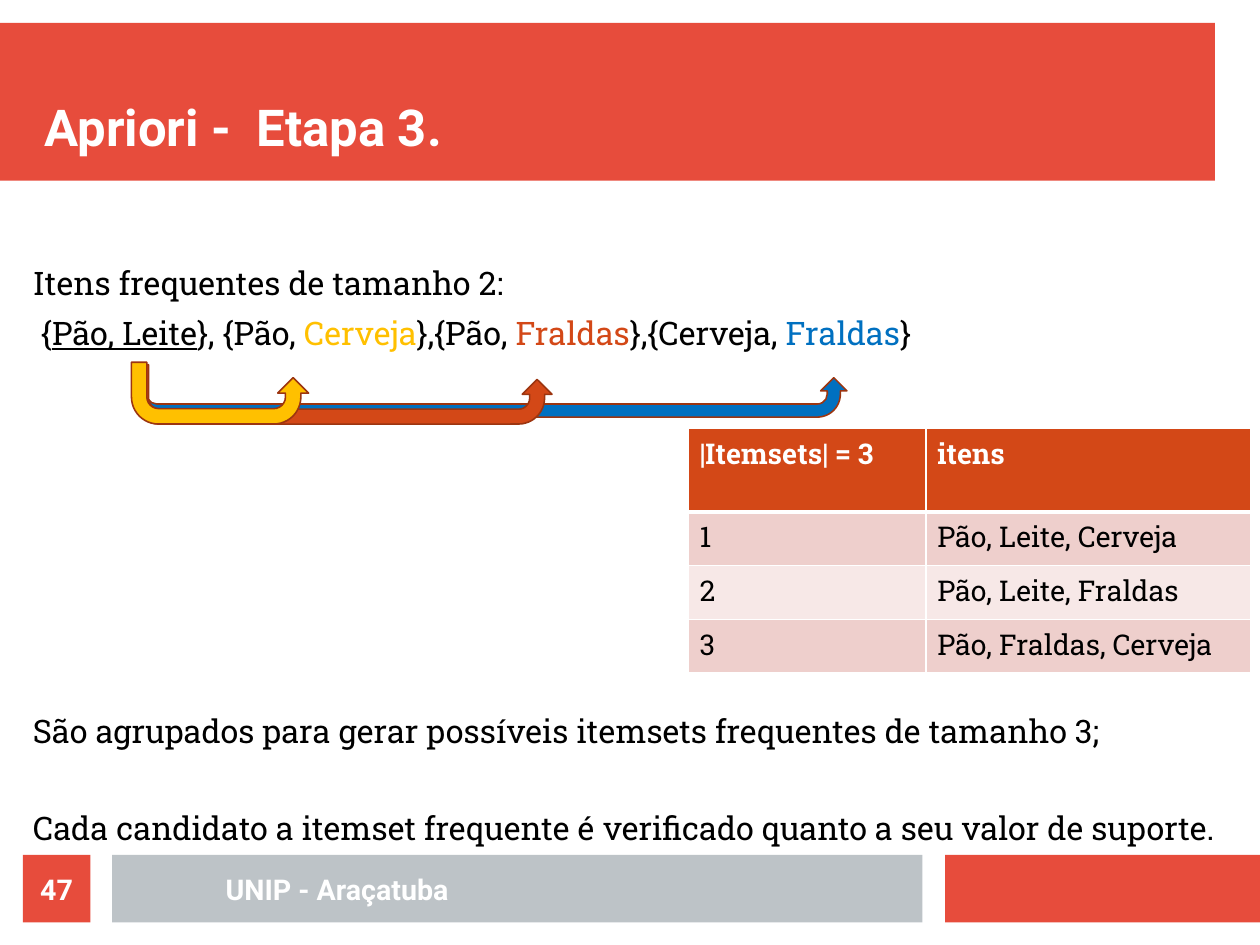
from dataclasses import dataclass

from lxml import etree
from pptx import Presentation
from pptx.dml.color import RGBColor
from pptx.enum.shapes import MSO_SHAPE
from pptx.enum.text import MSO_ANCHOR, PP_ALIGN
from pptx.oxml.ns import qn
from pptx.util import Inches, Pt

RECT, UTURN = MSO_SHAPE.RECTANGLE, MSO_SHAPE.U_TURN_ARROW
TOP, MIDDLE, BOTTOM = MSO_ANCHOR.TOP, MSO_ANCHOR.MIDDLE, MSO_ANCHOR.BOTTOM
LEFT, CENTER = PP_ALIGN.LEFT, PP_ALIGN.CENTER


@dataclass(frozen=True)
class Theme:
    red: str = "E74C3C"
    gray: str = "BDC3C7"
    white: str = "FFFFFF"
    black: str = "000000"
    gold: str = "FFC000"
    rust: str = "D34817"
    blue: str = "0070C0"
    edge: str = "9C3510"
    rows: tuple = ("EECFCC", "F7E8E7")
    head: str = "Roboto"
    text: str = "Roboto Slab"
    title: float = 32
    body: float = 20.4
    small: float = 18
    thin: float = 0.96
    thick: float = 3


T = Theme()
LABEL = {"name": T.head, "size": Pt(T.small), "bold": True}
TITLE = LABEL | {"size": Pt(T.title)}
BODY = {"name": T.text, "size": Pt(T.body)}
CELL = {"name": T.text, "size": Pt(T.small), "bold": False}
HEADER = CELL | {"bold": True}

BARS = [
    ((0, 0.2, 10.63, 1.38), T.red),
    ((8.27, 7.48, 2.76, 0.59), T.red),
    ((0.98, 7.48, 7.09, 0.59), T.gray),
]
ARROWS = [
    ((1.17, 3.19, 6.24, 0.46), T.blue),
    ((1.17, 3.19, 3.66, 0.52), T.rust),
    ((1.15, 3.17, 1.55, 0.54), T.gold),
]
BENDS = (0.25, 0.25, 0.25, 0.438, 0.75)
PAIRS = [
    [("Itens frequentes de tamanho 2:", T.black, False)],
    [
        (" {", T.black, False),
        ("Pão, Leite", T.black, True),
        ("}, {Pão, ", T.black, False),
        ("Cerveja", T.gold, False),
        ("},{Pão, ", T.black, False),
        ("Fraldas", T.rust, False),
        ("},{Cerveja, ", T.black, False),
        ("Fraldas", T.blue, False),
        ("}", T.black, False),
    ],
]
NOTES = [
    [("São agrupados para gerar possíveis itemsets frequentes de tamanho 3;", T.black, False)],
    [("Cada candidato a itemset frequente é verificado quanto a seu valor de suporte.",
      T.black, False)],
]
ITEMS = [
    ("|Itemsets| = 3", "itens"),
    ("1", "Pão, Leite, Cerveja"),
    ("2", "Pão, Leite, Fraldas"),
    ("3", "Pão, Fraldas, Cerveja"),
]


def rgb(color):
    return RGBColor.from_string(color)


def style(font, form, color):
    for name, value in form.items():
        setattr(font, name, value)
    font.color.rgb = rgb(color)


def place(shape, at):
    for name, value in zip(("left", "top", "width", "height"), at):
        setattr(shape, name, Inches(value))


def fill_text(shape, text, form, anchor, align):
    """Write one white line in a frame without margins."""
    frame = shape.text_frame
    frame.word_wrap = True
    frame.vertical_anchor = anchor
    for side in ("left", "top", "right", "bottom"):
        setattr(frame, f"margin_{side}", 0)
    frame.text = text
    par = frame.paragraphs[0]
    par.alignment = align
    style(par.runs[0].font, form, T.white)


def add_bar(slide, at, color):
    bar = slide.shapes.add_shape(RECT, *map(Inches, at))
    bar.shadow.inherit = False
    bar.fill.solid()
    bar.fill.fore_color.rgb = rgb(color)
    bar.line.fill.background()
    return bar


def add_title(slide, text, at):
    title = slide.shapes.title
    place(title, at)
    fill_text(title, text, TITLE, BOTTOM, LEFT)
    slide.shapes._spTree.append(title._element)  # in front of the bars


def add_lines(slide, at, lines, gap):
    """Add paragraphs of (text, color, underline) runs, gap points apart."""
    frame = slide.shapes.add_textbox(*map(Inches, at)).text_frame
    frame.word_wrap = True
    frame.vertical_anchor = TOP
    for i, line in enumerate(lines):
        par = frame.add_paragraph() if i else frame.paragraphs[0]
        par.line_spacing = 0.8
        par.space_before = Pt(gap if i else 0)
        for text, color, under in line:
            run = par.add_run()
            run.text = text
            style(run.font, BODY | {"underline": under}, color)


def edge_cell(cell, row):
    """Draw white borders, thick between the header and the first row."""
    thick = {(0, "B"), (1, "T")}
    props = cell._tc.get_or_add_tcPr()
    for side in "LRTB":
        width = T.thick if (row, side) in thick else T.thin
        line = etree.SubElement(props, qn(f"a:ln{side}"), w=str(Pt(width)))
        fill = etree.SubElement(line, qn("a:solidFill"))
        etree.SubElement(fill, qn("a:srgbClr"), val=T.white)


def add_grid(slide, at, widths, heights):
    shape = slide.shapes.add_table(len(ITEMS), len(widths), *map(Inches, at))
    table = shape.table
    for col, width in zip(table.columns, widths):
        col.width = Inches(width)
    for i, (row, height) in enumerate(zip(table.rows, heights)):
        row.height = Inches(height)
        back = T.rows[(i - 1) % 2] if i else T.rust
        for cell, text in zip(row.cells, ITEMS[i]):
            cell.text = text
            edge_cell(cell, i)
            cell.fill.solid()
            cell.fill.fore_color.rgb = rgb(back)
            font = cell.text_frame.paragraphs[0].runs[0].font
            style(font, CELL if i else HEADER, T.black if i else T.white)


def add_arrow(slide, at, color):
    """Add a U-turn arrow that opens upward."""
    arrow = slide.shapes.add_shape(UTURN, *map(Inches, at))
    arrow.shadow.inherit = False
    for i, bend in enumerate(BENDS):
        arrow.adjustments[i] = bend
    arrow.fill.solid()
    arrow.fill.fore_color.rgb = rgb(color)
    arrow.line.color.rgb = rgb(T.edge)
    arrow.line.width = Pt(1)
    arrow._element.spPr.xfrm.set("flipV", "1")


def main():
    deck = Presentation()
    deck.slide_width, deck.slide_height = Inches(28 / 2.54), Inches(21 / 2.54)  # 28 x 21 cm
    slide = deck.slides.add_slide(deck.slide_layouts.get_by_name("Title Only"))

    for at, color in BARS:
        add_bar(slide, at, color)
    add_title(slide, "Apriori -  Etapa 3.", (0.39, 0.39, 10.24, 0.98))
    add_lines(slide, (0.19, 2.32, 10.8, 0.85), PAIRS, 12)
    add_lines(slide, (0.19, 6.24, 10.8, 1.2), NOTES, 41.5)
    add_grid(slide, (6.02, 3.75, 4.92, 2.14), (2.08, 2.84), (0.73, 0.47, 0.47, 0.47))
    for at, color in ARROWS:
        add_arrow(slide, at, color)

    school = slide.shapes.add_textbox(*map(Inches, (1.18, 7.48, 3.54, 0.59)))
    fill_text(school, "UNIP - Araçatuba", LABEL, MIDDLE, CENTER)
    number = add_bar(slide, (0.2, 7.48, 0.59, 0.59), T.red)
    fill_text(number, "47", LABEL, MIDDLE, CENTER)

    deck.save("out.pptx")


if __name__ == "__main__":
    main()
